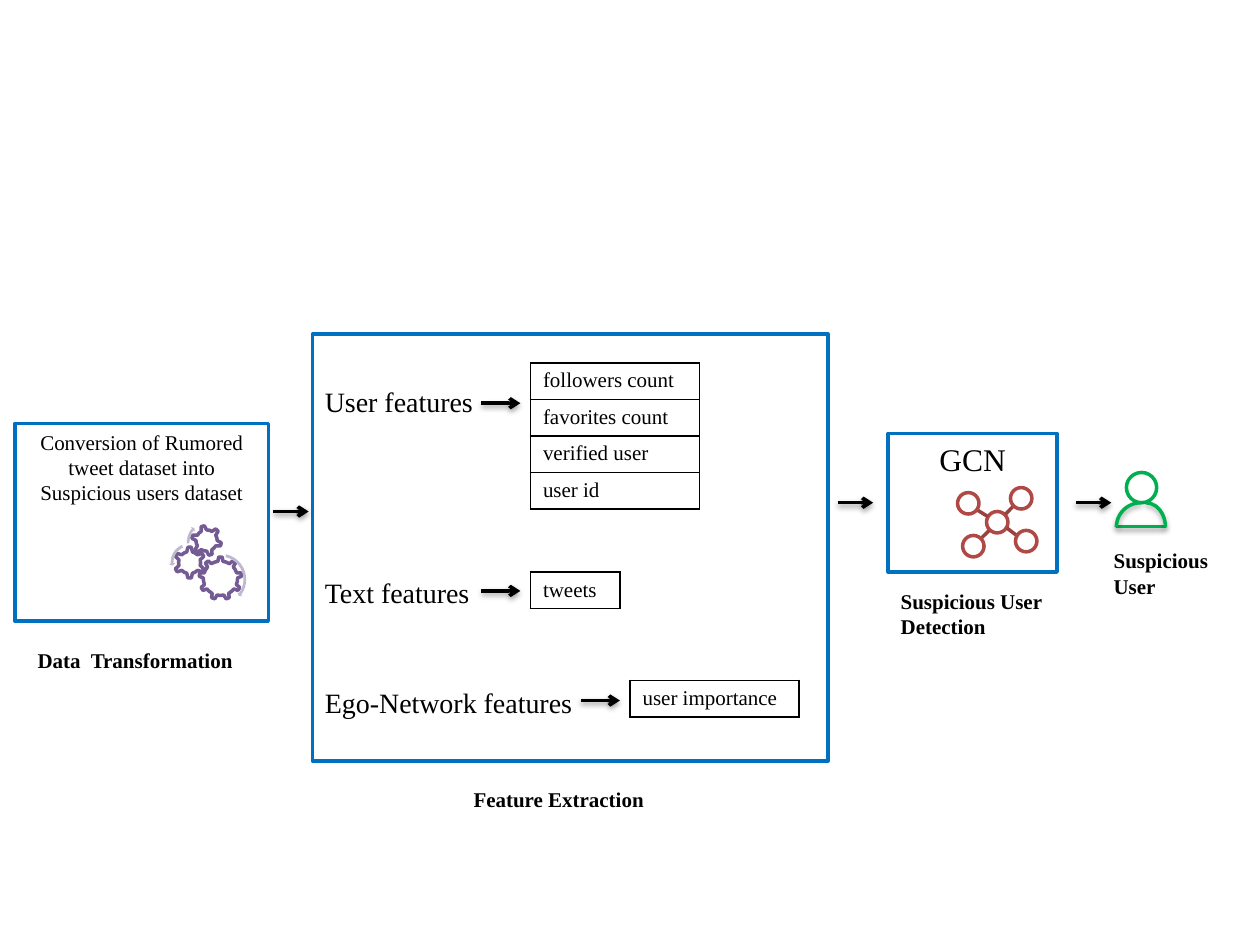
"""Build the suspicious user detection pipeline slide."""
from lxml import etree
from pptx import Presentation
from pptx import util as u
from pptx.dml import color
from pptx.enum import shapes, text
from pptx.oxml import ns

Kind = shapes.MSO_SHAPE
BLACK, WHITE, BLUE, GREEN = "000000", "FFFFFF", "0070C0", "00B050"
PLUM, LILAC, RED, RUST = "745B93", "C0B8CE", "AE4946", "9A403E"


def rgb(code):
    """Turn a hex string into a colour."""
    return color.RGBColor.from_string(code)


def inch(*sizes):
    """Turn numbers into lengths."""
    return [u.Inches(s) for s in sizes]


class Board:
    """Hold the style and the current slide."""

    font = "Times New Roman"
    width = 2

    def __init__(self, deck):
        """Add a blank slide."""
        self.slide = deck.slides.add_slide(deck.slide_layouts[6])
        self.items = self.slide.shapes

    def group(self):
        """Send the next shapes into a new group."""
        self.items = self.slide.shapes.add_group_shape().shapes

    def ungroup(self):
        """Send the next shapes to the slide."""
        self.items = self.slide.shapes

    def letter(self, frame, lines, size=12, bold=False, align=text.PP_ALIGN.LEFT):
        """Fill a text frame, one paragraph a line."""
        frame.word_wrap = True
        frame.vertical_anchor = text.MSO_ANCHOR.TOP
        frame.text = "\n".join(lines)
        for par in frame.paragraphs:
            par.alignment = align
            par.font.name = self.font
            par.font.size = u.Pt(size)
            par.font.bold = bold
            par.font.color.rgb = rgb(BLACK)

    def shape(self, kind, box, fill=None, line=None, shade=False, adj=(), turn=0):
        """Add a preset shape."""
        item = self.items.add_shape(kind, *inch(*box))
        item.rotation = turn
        if not shade:
            item.shadow.inherit = False
        if fill:
            item.fill.solid()
            item.fill.fore_color.rgb = rgb(fill)
        else:
            item.fill.background()
        if line:
            item.line.color.rgb = rgb(line)
            item.line.width = u.Pt(self.width)
        else:
            item.line.fill.background()
        for i, val in enumerate(adj):
            item.adjustments[i] = val
        return item

    def panel(self, box, lines, size, align=text.PP_ALIGN.CENTER):
        """Add a blue frame with text."""
        frame = self.shape(Kind.RECTANGLE, box, WHITE, BLUE).text_frame
        self.letter(frame, lines, size, align=align)
        return frame

    def label(self, box, words):
        """Add a bold caption."""
        item = self.items.add_textbox(*inch(*box))
        self.letter(item.text_frame, [words], bold=True)

    def line(self, start, end, code=BLACK, head=False, shade=True):
        """Add a straight line, with an arrowhead if asked."""
        item = self.items.add_connector(
            shapes.MSO_CONNECTOR.STRAIGHT, *inch(*start, *end))
        item.line.color.rgb = rgb(code)
        item.line.width = u.Pt(self.width)
        if head:
            etree.SubElement(item.line._get_or_add_ln(), ns.qn("a:tailEnd"), type="arrow")
        if not shade:
            etree.SubElement(item._element.spPr, ns.qn("a:effectLst"))

    def arrow(self, left, top, size):
        """Add an arrow to the right."""
        self.line((left, top), (left + size, top), head=True)

    def border(self, cell):
        """Draw thin black borders around a cell."""
        props = cell._tc.get_or_add_tcPr()
        for i, side in enumerate(("lnL", "lnR", "lnT", "lnB")):
            edge = etree.Element(ns.qn("a:" + side), w=str(u.Pt(1)))
            fill = etree.SubElement(edge, ns.qn("a:solidFill"))
            etree.SubElement(fill, ns.qn("a:srgbClr"), val=BLACK)
            props.insert(i, edge)

    def table(self, left, top, width, rows, step=0.29):
        """Add a one-column table."""
        box = inch(left, top, width, step * len(rows))
        grid = self.items.add_table(len(rows), 1, *box).table
        grid.first_row = grid.horz_banding = False
        for i, words in enumerate(rows):
            grid.rows[i].height = u.Inches(step)
            cell = grid.cell(i, 0)
            cell.fill.background()
            self.letter(cell.text_frame, [words])
            self.border(cell)


deck = Presentation()
deck.slide_width, deck.slide_height = inch(10, 7.5)
board = Board(deck)

frame = board.panel(
    (2.48, 2.65, 4.09, 3.39),
    ["User features", "Text features", "Ego-Network features"],
    16, text.PP_ALIGN.LEFT)
frame.margin_top = u.Inches(0.4)
for par, gap in zip(frame.paragraphs[1:], (90, 44)):
    par.space_before = u.Pt(gap)
board.table(4.21, 2.88, 1.34,
            ["followers count", "favorites count", "verified user", "user id"])
board.table(4.21, 4.54, 0.71, ["tweets"])
board.table(5, 5.4, 1.34, ["user importance"])
for left, top in ((3.82, 3.2), (3.82, 4.69), (4.61, 5.56)):
    board.arrow(left, top, 0.31)

board.panel((0.12, 3.36, 2.01, 1.57),
            ["Conversion of Rumored tweet dataset into Suspicious users dataset"], 12)
board.group()
for kind, left, top, size, turn in (
        (Kind.GEAR_9, 1.58, 4.42, 0.34, 0),
        (Kind.GEAR_6, 1.38, 4.34, 0.25, 0),
        (Kind.GEAR_6, 1.52, 4.17, 0.24, 345)):
    board.shape(kind, (left, top, size, size), WHITE, PLUM, turn=turn)
for kind, left, top, size, adj in (
        (Kind.CIRCULAR_ARROW, 1.53, 4.38, 0.44, (0.05, 2.99, 22.02, 169.66, 0.06)),
        (Kind.LEFT_CIRCULAR_ARROW, 1.34, 4.3, 0.32, (0.07, 4.3, 104.89, 148.38, 0.08)),
        (Kind.CIRCULAR_ARROW, 1.47, 4.13, 0.34, (0.06, 3.94, 133.14, 105.08, 0.07))):
    board.shape(kind, (left, top, size, size), LILAC, adj=adj)
board.ungroup()

board.panel((7.05, 3.44, 1.34, 1.1), ["GCN"], 18)
board.group()
node = 0.17
board.shape(Kind.OVAL, (7.83, 4.06, node, node), WHITE, RED)
for left, top, start, end in (
        (7.6, 3.91, (7.84, 4.1), (7.76, 4.05)),
        (8.02, 3.87, (7.98, 4.08), (8.04, 4.02)),
        (8.06, 4.21, (7.99, 4.19), (8.07, 4.25)),
        (7.64, 4.25, (7.85, 4.21), (7.79, 4.27))):
    board.line(start, end, RUST, shade=False)
    board.shape(Kind.OVAL, (left, top, node, node), WHITE, RED)
board.ungroup()

for left, top in ((2.17, 4.06), (6.65, 3.99), (8.54, 3.99)):
    board.arrow(left, top, 0.28)

board.shape(Kind.OVAL, (8.94, 3.75, 0.24, 0.24), line=GREEN)
board.line((8.86, 4.18), (9.25, 4.18), GREEN)
board.shape(Kind.ARC, (8.94, 3.99, 0.31, 0.39), line=GREEN, shade=True)
board.shape(Kind.ARC, (8.86, 3.99, 0.39, 0.39), line=GREEN, shade=True, adj=(108, 162))

for box, words in (
        ((0.2, 5.09, 1.81, 0.3), "Data  Transformation"),
        ((3.66, 6.19, 2.01, 0.3), "Feature Extraction"),
        ((7.05, 4.62, 1.57, 0.5), "Suspicious User Detection"),
        ((8.74, 4.3, 1.26, 0.5), "Suspicious User")):
    board.label(box, words)

deck.save("out.pptx")
